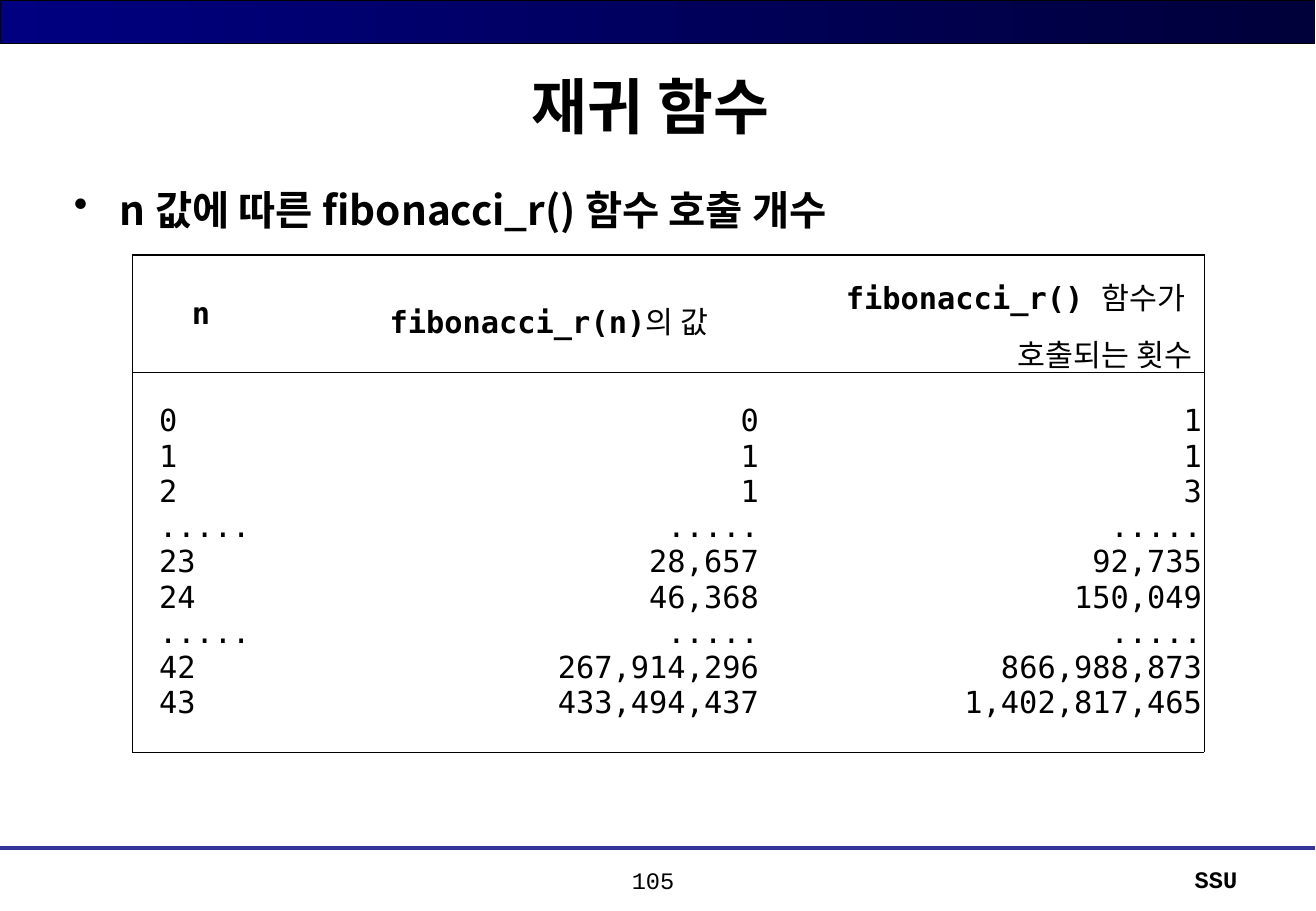
from dataclasses import dataclass

from lxml import etree
from pptx import Presentation
from pptx.dml.color import RGBColor
from pptx.enum.shapes import MSO_CONNECTOR, MSO_SHAPE
from pptx.enum.text import MSO_ANCHOR, PP_ALIGN
from pptx.oxml.ns import qn
from pptx.util import Inches, Pt

LEFT, CENTER, RIGHT, JUSTIFY = PP_ALIGN.LEFT, PP_ALIGN.CENTER, PP_ALIGN.RIGHT, PP_ALIGN.JUSTIFY
TOP, MIDDLE = MSO_ANCHOR.TOP, MSO_ANCHOR.MIDDLE
RECTANGLE, STRAIGHT = MSO_SHAPE.RECTANGLE, MSO_CONNECTOR.STRAIGHT
COURIER, MONO, KOREAN = "Courier New", "DejaVu Sans Mono", "Noto Sans CJK KR"
BLACK, NAVY, MIDNIGHT, INDIGO = "000000", "000080", "00003B", "333399"
HAIRLINE, RULE = 0.11, 0.85


@dataclass
class Run:
    text: str
    bold: bool = False


@dataclass
class Column:
    width: float
    header: list[list[Run]]
    values: list[str]
    header_format: dict
    value_format: dict


@dataclass
class Label:
    box: tuple[float, float, float, float]
    text: str
    format: dict


COLUMNS = [
    Column(1.68, [[Run("n", True)]],
           ["0", "1", "2", ".....", "23", "24", ".....", "42", "43"],
           {"alignment": LEFT, "margin": 0.39}, {"alignment": JUSTIFY, "margin": 0.2}),
    Column(3.5, [[Run("fibonacci_r(n)", True), Run("의 값")]],
           ["0", "1", "1", ".....", "28,657", "46,368", ".....", "267,914,296", "433,494,437"],
           {"alignment": CENTER, "line_spacing": 1.3}, {"alignment": RIGHT}),
    Column(3.65, [[Run("fibonacci_r() ", True), Run("함수가 ")], [Run("호출되는 횟수")]],
           ["1", "1", "3", ".....", "92,735", "150,049", ".....", "866,988,873", "1,402,817,465"],
           {"alignment": RIGHT, "line_spacing": 1.3}, {"alignment": RIGHT}),
]
ROW_HEIGHTS = [0.97, 3.12]
LABELS = [
    Label((0.51, 1.47, 9.78, 5.43), "n 값에 따른 fibonacci_r() 함수 호출 개수",
          {"size": 24, "font": KOREAN, "margin": 0.38, "bullet": "•"}),
    Label((7.7, 7.07, 2.59, 0.37), "SSU", {"size": 14, "font": COURIER, "alignment": RIGHT}),
    Label((4.65, 7.08, 1.46, 0.37), "105",
          {"size": 14, "font": COURIER, "alignment": CENTER, "bold": False}),
]


def color(value: str) -> RGBColor:
    return RGBColor.from_string(value)


def write_text(frame, paragraphs: list[list[Run]], *, size: float, font: str,
               alignment=LEFT, margin: float = 0, bullet: str = "",
               line_spacing: float = 1.0) -> None:
    frame.word_wrap = True
    for index, runs in enumerate(paragraphs):
        paragraph = frame.add_paragraph() if index else frame.paragraphs[0]
        paragraph.alignment = alignment
        paragraph.line_spacing = line_spacing
        paragraph.space_before = Pt(0)
        properties = paragraph._p.get_or_add_pPr()
        properties.set("marL", str(Inches(margin)))
        properties.set("indent", str(Inches(-margin if bullet else 0)))
        if bullet:
            etree.SubElement(properties, qn("a:buChar")).set("char", bullet)
        for item in runs:
            run = paragraph.add_run()
            run.text = item.text
            run.font.size = Pt(size)
            run.font.bold = item.bold
            run.font.color.rgb = color(BLACK)
            run.font.name = font
            east_asian = etree.SubElement(run._r.get_or_add_rPr(), qn("a:ea"))
            east_asian.set("typeface", KOREAN)


def add_label(slide, label: Label) -> None:
    box = slide.shapes.add_textbox(*map(Inches, label.box))
    box.text_frame.vertical_anchor = TOP
    text_format = dict(label.format)
    bold = text_format.pop("bold", True)
    write_text(box.text_frame, [[Run(label.text, bold)]], **text_format)


def add_title(slide, text: str) -> None:
    title = slide.shapes.title
    title.left, title.top, title.width, title.height = map(Inches, (0.54, 0.36, 9.75, 1.01))
    title.text_frame.vertical_anchor = MIDDLE
    write_text(title.text_frame, [[Run(text, True)]], size=36, font=COURIER, alignment=CENTER)


def add_bands(slide) -> None:
    band = slide.shapes.add_shape(RECTANGLE, 0, 0, Inches(10.83), Inches(0.36))
    band.shadow.inherit = False
    band.fill.gradient()
    band.fill.gradient_angle = 0
    for stop, shade in zip(band.fill.gradient_stops, (NAVY, MIDNIGHT)):
        stop.color.rgb = color(shade)
    band.line.color.rgb = color(BLACK)
    band.line.width = Pt(0.75)

    rule = slide.shapes.add_connector(STRAIGHT, 0, Inches(6.98), Inches(10.83), Inches(6.98))
    rule.line.color.rgb = color(INDIGO)
    rule.line.width = Pt(2.5)
    etree.SubElement(rule._element.spPr, qn("a:effectLst"))


def set_borders(cell, widths: dict[str, float]) -> None:
    properties = cell._tc.get_or_add_tcPr()
    for side, width in widths.items():
        line = etree.SubElement(properties, qn(f"a:ln{side}"))
        line.set("w", str(Pt(width)))
        if width:
            fill = etree.SubElement(line, qn("a:solidFill"))
            etree.SubElement(fill, qn("a:srgbClr")).set("val", BLACK)
        else:
            etree.SubElement(line, qn("a:noFill"))


def add_call_table(slide) -> None:
    widths = [column.width for column in COLUMNS]
    frame = slide.shapes.add_table(len(ROW_HEIGHTS), len(COLUMNS), Inches(1.09), Inches(2.1),
                                   Inches(sum(widths)), Inches(sum(ROW_HEIGHTS)))
    table = frame.table
    table.first_row = table.horz_banding = False
    for row, height in zip(table.rows, ROW_HEIGHTS):
        row.height = Inches(height)
    for index, column in enumerate(COLUMNS):
        table.columns[index].width = Inches(column.width)
        header, body = table.cell(0, index), table.cell(1, index)
        body.margin_left = body.margin_right = Inches(0.02)
        sides = {"L": HAIRLINE if index == 0 else 0,
                 "R": HAIRLINE if index == len(COLUMNS) - 1 else 0}
        for cell, bottom in ((header, RULE), (body, HAIRLINE)):
            set_borders(cell, {**sides, "T": RULE, "B": bottom})
            cell.fill.background()
            cell.vertical_anchor = MIDDLE
        write_text(header.text_frame, column.header, size=18, font=MONO, **column.header_format)
        write_text(body.text_frame, [[Run(value)] for value in column.values],
                   size=18, font=MONO, **column.value_format)


def main() -> None:
    presentation = Presentation()
    presentation.slide_width, presentation.slide_height = Inches(10.84), Inches(7.5)
    slide = presentation.slides.add_slide(presentation.slide_layouts.get_by_name("Title Only"))
    add_bands(slide)
    add_title(slide, "재귀 함수 ")
    for label in LABELS:
        add_label(slide, label)
    add_call_table(slide)
    presentation.save("out.pptx")


if __name__ == "__main__":
    main()
